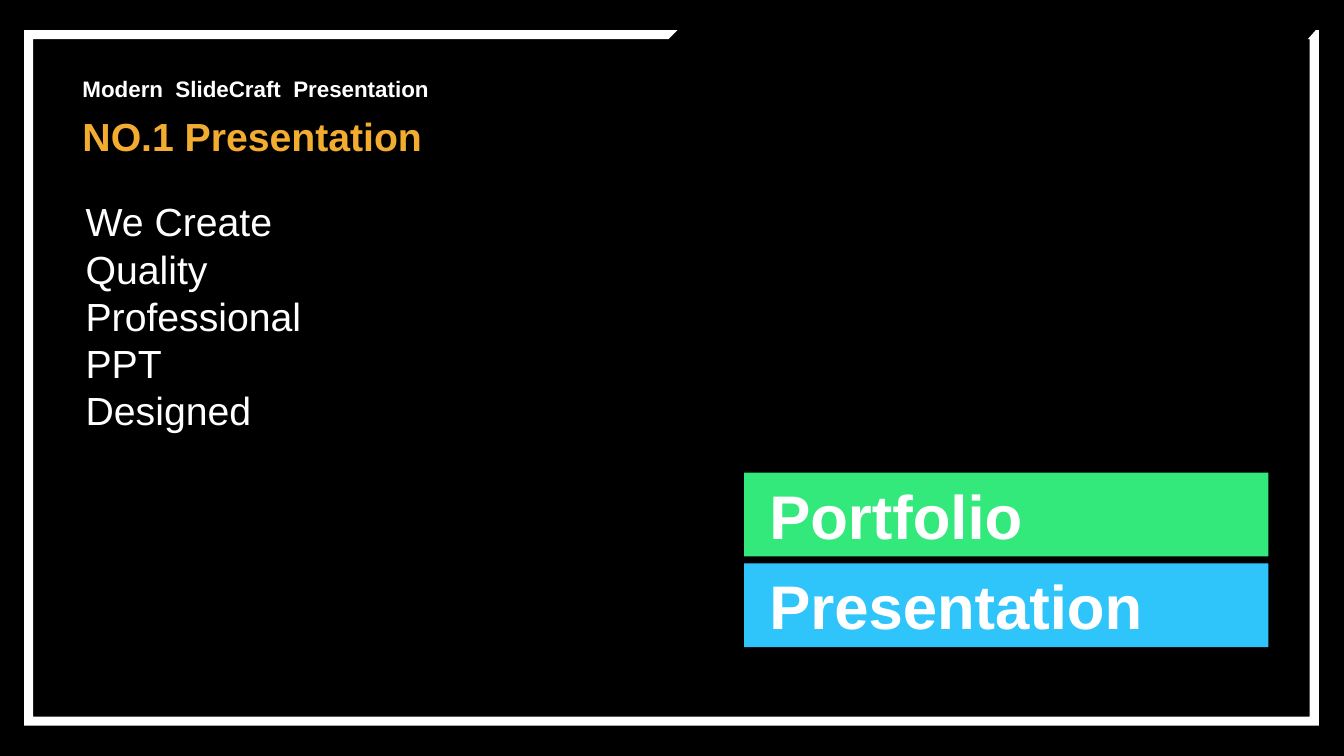
from dataclasses import dataclass

from pptx import Presentation
from pptx.dml.color import RGBColor
from pptx.enum.shapes import MSO_SHAPE
from pptx.enum.text import MSO_ANCHOR, MSO_AUTO_SIZE
from pptx.util import Inches, Pt

RECTANGLE = MSO_SHAPE.RECTANGLE
TOP = MSO_ANCHOR.TOP
MIDDLE = MSO_ANCHOR.MIDDLE
GROW = MSO_AUTO_SIZE.SHAPE_TO_FIT_TEXT
FIXED = MSO_AUTO_SIZE.NONE


@dataclass(frozen=True)
class Theme:
    font: str = "Arial"
    black: str = "000000"
    white: str = "FFFFFF"
    green: str = "33E97C"
    blue: str = "2FC5FA"
    amber: str = "F2AC30"
    banner_size: int = 44
    heading_size: int = 28
    tagline_size: int = 16


THEME = Theme()


def paint(part, color):
    part.fill.solid()
    part.fill.fore_color.rgb = RGBColor.from_string(color)


def style_plain(shape, color):
    paint(shape, color)
    shape.line.fill.background()
    shape.shadow.inherit = False


def add_text(slide, box, lines, size, color, bold=True,
             insets=(0.1, 0.05), anchor=TOP, fit=GROW):
    frame = slide.shapes.add_textbox(*map(Inches, box)).text_frame
    frame.word_wrap = True
    frame.auto_size = fit
    frame.vertical_anchor = anchor
    frame.margin_left = frame.margin_right = Inches(insets[0])
    frame.margin_top = frame.margin_bottom = Inches(insets[1])
    for index, line in enumerate(lines):
        paragraph = frame.add_paragraph() if index else frame.paragraphs[0]
        run = paragraph.add_run()
        run.text = line
        run.font.name = THEME.font
        run.font.size = Pt(size)
        run.font.bold = bold
        run.font.color.rgb = RGBColor.from_string(color)


def add_open_frame(slide):
    left, top, right, bottom = 0.24, 0.3, 13.08, 7.2
    band = 0.09
    inner_left, inner_top = left + band, top + band
    inner_right, inner_bottom = right - band, bottom - band
    outline = [
        (left, top), (6.72, top), (6.63, inner_top),
        (inner_left, inner_top), (inner_left, inner_bottom),
        (inner_right, inner_bottom), (inner_right, inner_top),
        (12.97, inner_top), (13.05, top),
        (right, top), (right, bottom), (left, bottom),
    ]
    start, *corners = [(Inches(x), Inches(y)) for x, y in outline]
    builder = slide.shapes.build_freeform(*start)
    builder.add_line_segments(corners, close=True)
    style_plain(builder.convert_to_shape(), THEME.white)


def add_banner(slide, top, title, color):
    height = 0.83
    bar = slide.shapes.add_shape(
        RECTANGLE, Inches(7.38), Inches(top), Inches(5.2), Inches(height))
    style_plain(bar, color)
    add_text(slide, (7.39, top, 4.6, height), [title], THEME.banner_size,
             THEME.white, insets=(0.24, 0.08), anchor=MIDDLE, fit=FIXED)


def main():
    deck = Presentation()
    deck.slide_width = Inches(13.33)
    deck.slide_height = Inches(7.5)
    slide = deck.slides.add_slide(deck.slide_layouts[6])
    paint(slide.background, THEME.black)

    add_open_frame(slide)
    banners = [("Portfolio", THEME.green), ("Presentation", THEME.blue)]
    for index, (title, color) in enumerate(banners):
        add_banner(slide, 4.69 + 0.9 * index, title, color)

    add_text(slide, (0.72, 1.07, 4.36, 0.57), ["NO.1 Presentation"],
             THEME.heading_size, THEME.amber)
    add_text(slide, (0.72, 0.7, 4.36, 0.37), ["Modern  SlideCraft  Presentation"],
             THEME.tagline_size, THEME.white)
    add_text(slide, (0.81, 1.95, 2.46, 2.36),
             ["We Create", "Quality Professional", "PPT Designed"],
             THEME.heading_size, THEME.white, bold=False,
             insets=(0.04, 0), anchor=MIDDLE)

    deck.save("out.pptx")


if __name__ == "__main__":
    main()
